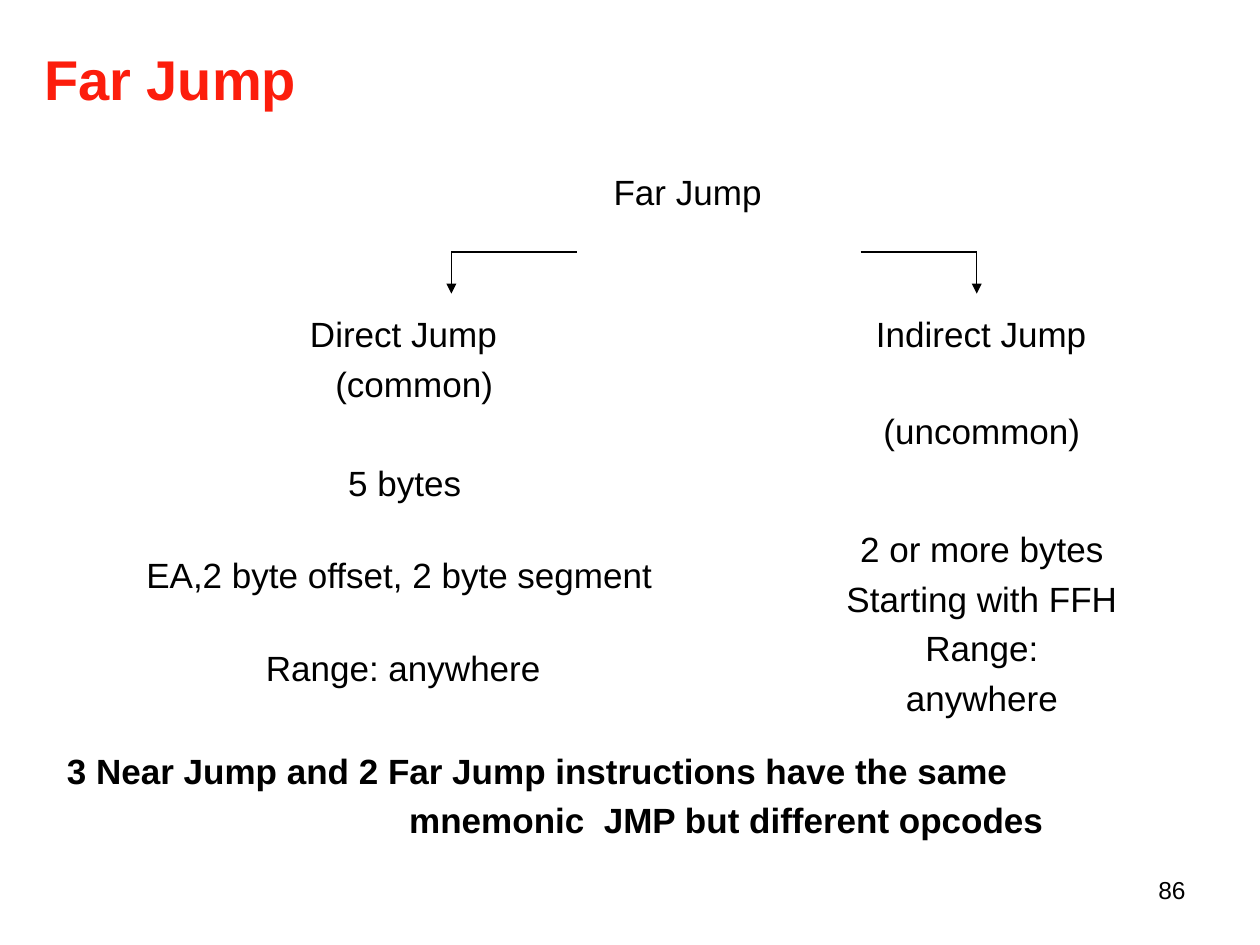
from pptx import Presentation
from pptx import util as u
from pptx.dml.color import RGBColor
from pptx.enum import shapes, text
from pptx.oxml.ns import qn
from lxml import etree

BLACK = RGBColor(0x00, 0x00, 0x00)
RED = RGBColor(0xFC, 0x1D, 0x0C)
LEFT, CENTER = text.PP_ALIGN.LEFT, text.PP_ALIGN.CENTER

presentation = Presentation()
presentation.slide_width = u.Cm(25.4)
presentation.slide_height = u.Cm(19.05)
slide = presentation.slides.add_slide(presentation.slide_layouts[6])


def add_text(left, top, width, height, lines, size=20, bold=False,
             color=BLACK, align=LEFT, spacing=1.0):
    box = slide.shapes.add_textbox(u.Cm(left), u.Cm(top), u.Cm(width), u.Cm(height))
    frame = box.text_frame
    margins = {"margin_left": 0, "margin_right": 0, "margin_top": u.Cm(0.03), "margin_bottom": 0}
    for name, value in {**margins, "word_wrap": True}.items():
        setattr(frame, name, value)
    for index, (content, indent, before) in enumerate(lines):
        paragraph = frame.paragraphs[0] if index == 0 else frame.add_paragraph()
        paragraph.text = content
        layout = {"alignment": align, "line_spacing": spacing, "space_before": u.Pt(before)}
        for name, value in layout.items():
            setattr(paragraph, name, value)
        paragraph._p.get_or_add_pPr().set("marL", str(u.Cm(indent)))
        for run in paragraph.runs:
            for name, value in {"name": "Arial", "size": u.Pt(size), "bold": bold}.items():
                setattr(run.font, name, value)
            run.font.color.rgb = color
    return frame


def add_line(x1, y1, x2, y2):
    line = slide.shapes.add_connector(
        shapes.MSO_CONNECTOR.STRAIGHT, u.Cm(x1), u.Cm(y1), u.Cm(x2), u.Cm(y2))
    line.line.color.rgb = BLACK
    line.line.width = u.Pt(0.75)
    etree.SubElement(line._element.spPr, qn("a:effectLst"))


add_text(0.86, 0.86, 6, 1.42, [("Far Jump", 0.03, 0)], size=32, bold=True, color=RED)

labels = [
    (12.34, 3.4, 3.6, "Far Jump"),
    (6.99, 9.27, 2.8, "5 bytes"),
    (2.92, 11.13, 10.8, "EA,2 byte offset, 2 byte segment"),
    (5.33, 13, 6.2, "Range: anywhere"),
]
for left, top, width, label in labels:
    add_text(left, top, width, 0.91, [(label, 0.03, 0)])

add_text(6.22, 6.12, 4.2, 2, [("Direct Jump", 0.03, 0), ("(common)", 0.54, 0)], spacing=1.18)
add_text(17.63, 6.12, 4.8, 2.95, [("Indirect Jump", 0.03, 0), ("(uncommon)", 0.18, 27)], spacing=1.18)

indirect_details = ["2 or more bytes", "Starting with FFH", "Range:", "anywhere"]
add_text(16.99, 10.46, 5.61, 3.85, [(line, 0, 0) for line in indirect_details],
         align=CENTER, spacing=1.18)

summary = [
    ("3 Near Jump and 2 Far Jump instructions have the same", 0.03, 0),
    ("mnemonic  JMP but different opcodes", 6.93, 0),
]
add_text(1.32, 14.92, 22.73, 1.9, summary, bold=True, spacing=1.18)

branch_top, stem_bottom, head_size = 5.08, 5.74, 0.2
for inner, outer in ((11.63, 9.1), (17.35, 19.69)):
    add_line(inner, branch_top, outer, branch_top)
    add_line(outer, branch_top, outer, stem_bottom)
    head = slide.shapes.add_shape(
        shapes.MSO_SHAPE.FLOWCHART_MERGE, u.Cm(outer - head_size / 2), u.Cm(stem_bottom - 0.02),
        u.Cm(head_size), u.Cm(head_size))
    head.shadow.inherit = False
    head.fill.solid()
    head.fill.fore_color.rgb = BLACK
    head.line.fill.background()

add_text(23.27, 17.5, 0.8, 0.64, [("86", 0.08, 0)], size=14, spacing=1.17)

presentation.save("out.pptx")
